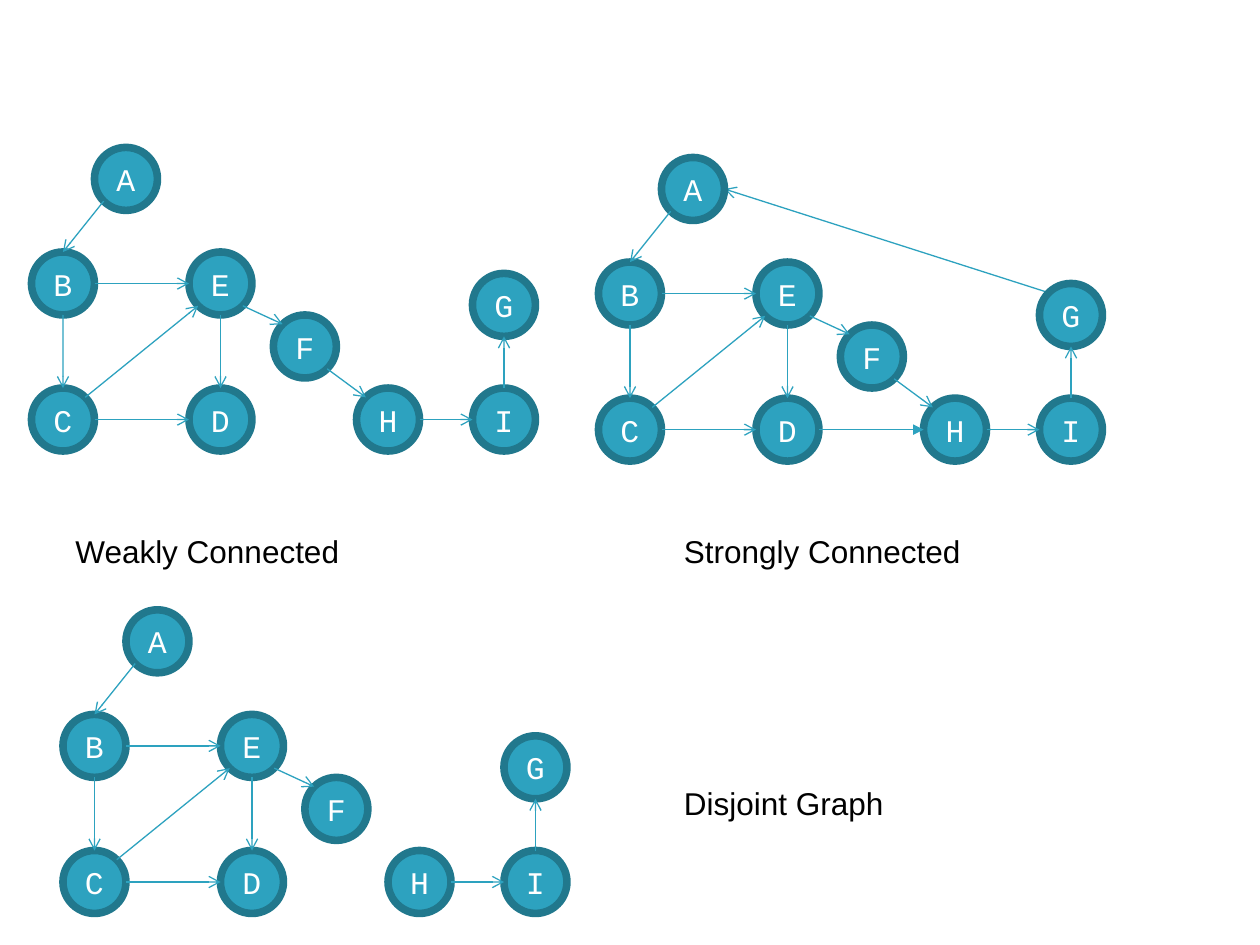
from math import cos, radians, sin

from lxml.etree import SubElement
from pptx import Presentation
from pptx.dml.color import RGBColor
from pptx.enum.shapes import MSO_CONNECTOR as Connector, MSO_SHAPE as Shape
from pptx.enum.text import MSO_ANCHOR as Anchor, MSO_AUTO_SIZE as AutoSize, PP_ALIGN as Align
from pptx.oxml.ns import qn
from pptx.util import Inches, Pt

TEAL = RGBColor(0x2D, 0xA2, 0xBF)
DARK_TEAL = RGBColor(0x21, 0x78, 0x8D)
WHITE = RGBColor(0xFF, 0xFF, 0xFF)
BLACK = RGBColor(0x00, 0x00, 0x00)

# Top-left corner of each node, in inches, relative to its graph
NODES = {
    "A": (0.75, 1.17), "B": (0.25, 2), "C": (0.25, 3.08),
    "D": (1.5, 3.08), "E": (1.5, 2), "G": (3.75, 2.17),
    "F": (2.17, 2.5), "H": (2.83, 3.08), "I": (3.75, 3.08),
}
# Direction, in degrees clockwise from the right, of each side of a node
SIDES = {"right": 0, "lower right": 45, "bottom": 90, "lower left": 135,
         "left": 180, "upper left": 225, "top": 270, "upper right": 315}
# Start node, side it leaves, end node, side it enters
EDGES = [
    ("A", "lower left", "B", "top"),
    ("B", "bottom", "C", "top"),
    ("B", "right", "E", "left"),
    ("C", "right", "D", "left"),
    ("C", "upper right", "E", "lower left"),
    ("E", "bottom", "D", "top"),
    ("E", "lower right", "F", "upper left"),
    ("H", "right", "I", "left"),
    ("I", "top", "G", "bottom"),
]
F_TO_H = ("F", "lower right", "H", "upper left")
D_TO_H = ("D", "right", "H", "left")
G_TO_A = ("G", "upper left", "A", "right")


class GraphSlide:
    diameter = 0.5
    node_font = "Courier New"
    label_font = "Arial"
    font_size = Pt(18)

    def __init__(self, page):
        self.page = page

    def style_text(self, para, font, color):
        para.font.name = font
        para.font.size = self.font_size
        para.font.color.rgb = color

    def node(self, shapes, letter, left, top):
        size = Inches(self.diameter)
        circle = shapes.add_shape(Shape.OVAL, Inches(left), Inches(top), size, size)
        circle.shadow.inherit = False
        circle.fill.solid()
        circle.fill.fore_color.rgb = TEAL
        circle.line.color.rgb = DARK_TEAL
        circle.line.width = Pt(4.33)
        frame = circle.text_frame
        frame.margin_left = frame.margin_right = 0
        frame.vertical_anchor = Anchor.MIDDLE
        para = frame.paragraphs[0]
        para.text = letter
        para.alignment = Align.CENTER
        self.style_text(para, self.node_font, WHITE)

    def side_point(self, letter, side, offset):
        radius = self.diameter / 2
        angle = radians(SIDES[side])
        left, top = NODES[letter]
        return (Inches(offset[0] + left + radius + radius * cos(angle)),
                Inches(offset[1] + top + radius + radius * sin(angle)))

    def arrow(self, shapes, edge, offset, head="arrow"):
        start, start_side, end, end_side = edge
        line = shapes.add_connector(
            Connector.STRAIGHT,
            *self.side_point(start, start_side, offset),
            *self.side_point(end, end_side, offset))
        line.line.color.rgb = TEAL
        line.line.width = Pt(0.75)
        SubElement(line.line._get_or_add_ln(), qn("a:tailEnd"), type=head)
        SubElement(line._element.spPr, qn("a:effectLst"))

    def graph(self, offset, edges):
        shapes = self.page.shapes.add_group_shape().shapes
        for letter, (left, top) in NODES.items():
            self.node(shapes, letter, offset[0] + left, offset[1] + top)
        for edge in edges:
            head = "triangle" if edge == D_TO_H else "arrow"
            self.arrow(shapes, edge, offset, head)

    def label(self, text, left, top):
        box = self.page.shapes.add_textbox(
            Inches(left), Inches(top), Inches(2.42), Inches(0.4))
        box.text_frame.word_wrap = True
        box.text_frame.auto_size = AutoSize.SHAPE_TO_FIT_TEXT
        para = box.text_frame.paragraphs[0]
        para.text = text
        self.style_text(para, self.label_font, BLACK)


def main():
    deck = Presentation()
    deck.slide_width, deck.slide_height = Inches(10), Inches(7.5)
    slide = GraphSlide(deck.slides.add_slide(deck.slide_layouts[6]))

    # Weakly connected graph
    slide.graph((0, 0), EDGES + [F_TO_H])
    slide.label("Weakly Connected", 0.5, 4.17)

    # Strongly connected graph, with the arrow that closes the cycle
    strong = (4.5, 0.08)
    slide.arrow(slide.page.shapes, G_TO_A, strong)
    slide.graph(strong, EDGES + [F_TO_H, D_TO_H])
    slide.label("Strongly Connected", 5.33, 4.17)

    # Disjoint graph
    slide.graph((0.25, 3.67), EDGES)
    slide.label("Disjoint Graph", 5.33, 6.17)

    deck.save("out.pptx")


if __name__ == "__main__":
    main()
